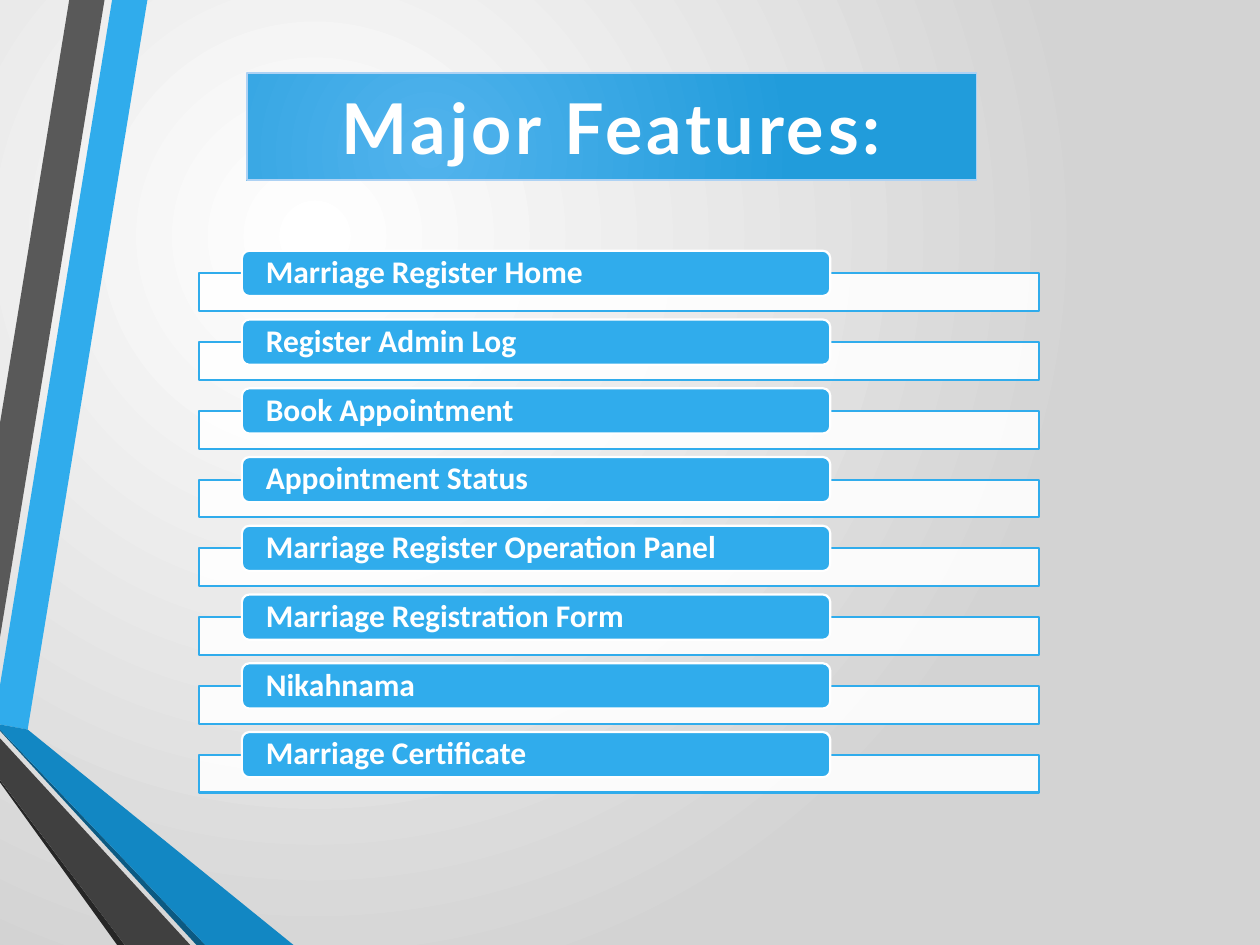
from typing import NamedTuple

from pptx import Presentation
from pptx.dml.color import RGBColor
from pptx.enum.shapes import MSO_SHAPE
from pptx.enum.text import MSO_ANCHOR, PP_ALIGN
from pptx.oxml import parse_xml
from pptx.oxml.ns import nsdecls
from pptx.util import Inches, Pt

RECTANGLE = MSO_SHAPE.RECTANGLE
ROUNDED = MSO_SHAPE.ROUNDED_RECTANGLE
MIDDLE = MSO_ANCHOR.MIDDLE
CENTER = PP_ALIGN.CENTER
LEFT = PP_ALIGN.LEFT

BLUE = "30ACEC"
WHITE = "FFFFFF"
FIRST_TOP = 1.99
LAST_TOP = 5.81


class Ribbon(NamedTuple):
    color: str
    points: list[tuple[float, float]]


class Box(NamedTuple):
    left: float
    top: float
    width: float
    height: float

    def lengths(self) -> list[Inches]:
        return [Inches(value) for value in self]


RIBBONS = [
    Ribbon(BLUE, [(0, 5.44), (0, 5.75), (0.22, 5.79), (1.17, 0), (0.89, 0)]),
    Ribbon("595959", [(0.83, 0), (0.55, 0), (0, 3.36), (0, 5.06)]),
    Ribbon("262626", [(0, 6.19), (0, 6.21), (0.93, 7.5), (0.99, 7.5)]),
    Ribbon("0C5A82", [(0, 5.79), (0, 5.8), (1.56, 7.5), (1.63, 7.5)]),
    Ribbon("1287C3", [(0, 5.79), (1.63, 7.5), (2.33, 7.5), (0.22, 5.79), (0, 5.75)]),
    Ribbon("404040", [(0, 6.19), (0.99, 7.5), (1.51, 7.5), (0, 5.86)]),
]

FEATURES = [
    "Marriage Register Home",
    "Register Admin Log",
    "Book Appointment",
    "Appointment Status",
    "Marriage Register Operation Panel",
    "Marriage Registration Form",
    "Nikahnama",
    "Marriage Certificate",
]

TITLE_FONT = {"name": "Lato", "size": Pt(40), "bold": True}
FEATURE_FONT = {"name": "Calibri", "size": Pt(18), "bold": True}
TITLE_PARAGRAPH = {"alignment": CENTER}
FEATURE_PARAGRAPH = {"alignment": LEFT, "line_spacing": 0.9, "space_after": Pt(6.3)}
TITLE_FRAME = {"word_wrap": True, "vertical_anchor": MIDDLE}
FEATURE_FRAME = TITLE_FRAME | {
    "margin_left": Inches(0.18),
    "margin_right": Inches(0.18),
    "margin_top": 0,
    "margin_bottom": 0,
}


def rgb(color: str) -> RGBColor:
    return RGBColor.from_string(color)


def apply(target, values: dict) -> None:
    for name, value in values.items():
        setattr(target, name, value)


def paint(shape, fill: str, line: str | None = None, width: float = 1.25) -> None:
    shape.shadow.inherit = False
    shape.fill.solid()
    shape.fill.fore_color.rgb = rgb(fill)
    if line is None:
        shape.line.fill.background()
    else:
        shape.line.color.rgb = rgb(line)
        shape.line.width = Pt(width)


def set_radial(fill, owner, inner: str, outer: str, focus: dict[str, int]) -> None:
    fill.gradient()
    gradient = owner.xpath(".//a:gradFill")[0]
    sides = " ".join(f'{side}="{percent * 1000}"' for side, percent in focus.items())
    radial = parse_xml(
        f'<a:gradFill {nsdecls("a")} rotWithShape="1"><a:gsLst>'
        f'<a:gs pos="0"><a:srgbClr val="{inner}"/></a:gs>'
        f'<a:gs pos="100000"><a:srgbClr val="{outer}"/></a:gs></a:gsLst>'
        f'<a:path path="circle"><a:fillToRect {sides}/></a:path></a:gradFill>'
    )
    gradient.getparent().replace(gradient, radial)


def write(shape, text: str, frame: dict, paragraph: dict, font: dict):
    apply(shape.text_frame, frame)
    line = shape.text_frame.paragraphs[0]
    apply(line, paragraph)
    run = line.add_run()
    run.text = text
    apply(run.font, font)
    run.font.color.rgb = rgb(WHITE)
    return run


def draw_ribbon(slide, ribbon: Ribbon) -> None:
    start, *rest = [(Inches(x), Inches(y)) for x, y in ribbon.points]
    builder = slide.shapes.build_freeform(*start)
    builder.add_line_segments(rest, close=True)
    paint(builder.convert_to_shape(), ribbon.color)


def draw_title(slide, text: str) -> None:
    banner = slide.shapes.add_shape(RECTANGLE, *Box(1.96, 0.58, 5.79, 0.85).lengths())
    paint(banner, BLUE, "AED2F4", 0.75)
    focus = {"l": 50, "t": 100, "r": 100, "b": 50}
    set_radial(banner.fill, banner.element, "51B3ED", "219CDB", focus)
    run = write(banner, text, TITLE_FRAME, TITLE_PARAGRAPH, TITLE_FONT)
    run.font._element.set("spc", "220")


def draw_feature(slide, text: str, top: float) -> None:
    bar = slide.shapes.add_shape(RECTANGLE, *Box(1.58, top + 0.18, 6.67, 0.3).lengths())
    paint(bar, WHITE, BLUE)
    tint = bar.element.xpath("./p:spPr/a:solidFill/a:srgbClr")[0]
    tint.append(parse_xml(f'<a:alpha {nsdecls("a")} val="90000"/>'))
    tab = slide.shapes.add_shape(ROUNDED, *Box(1.92, top, 4.67, 0.36).lengths())
    paint(tab, BLUE, WHITE)
    label = slide.shapes.add_textbox(*Box(1.93, top + 0.02, 4.63, 0.32).lengths())
    write(label, text, FEATURE_FRAME, FEATURE_PARAGRAPH, FEATURE_FONT)


def main() -> None:
    deck = Presentation()
    deck.slide_width, deck.slide_height = Inches(10), Inches(7.5)
    slide = deck.slides.add_slide(deck.slide_layouts[6])
    focus = {"l": 50, "t": 50, "r": 100, "b": 100}
    set_radial(slide.background.fill, slide.element, WHITE, "D3D3D3", focus)
    for ribbon in RIBBONS:
        draw_ribbon(slide, ribbon)
    draw_title(slide, "Major Features:")
    pitch = (LAST_TOP - FIRST_TOP) / (len(FEATURES) - 1)
    for row, feature in enumerate(FEATURES):
        draw_feature(slide, feature, FIRST_TOP + row * pitch)
    deck.save("out.pptx")


if __name__ == "__main__":
    main()
